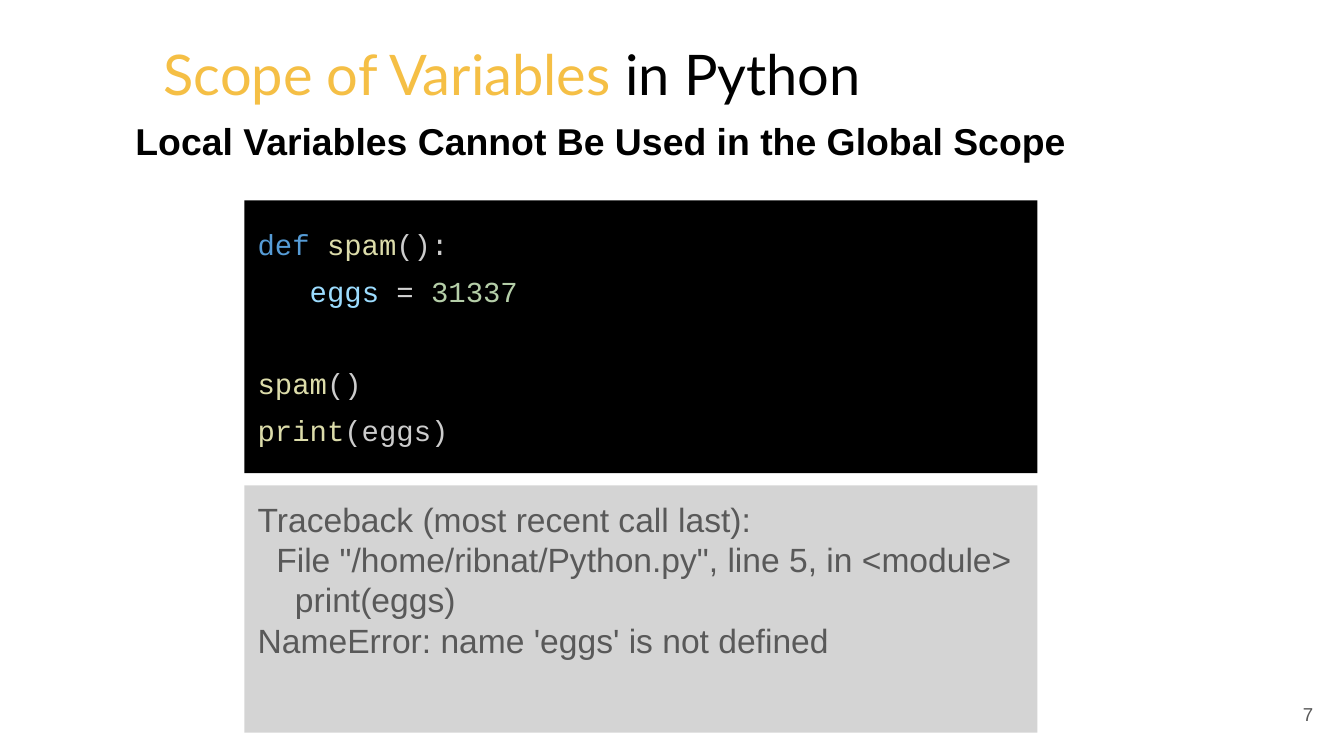
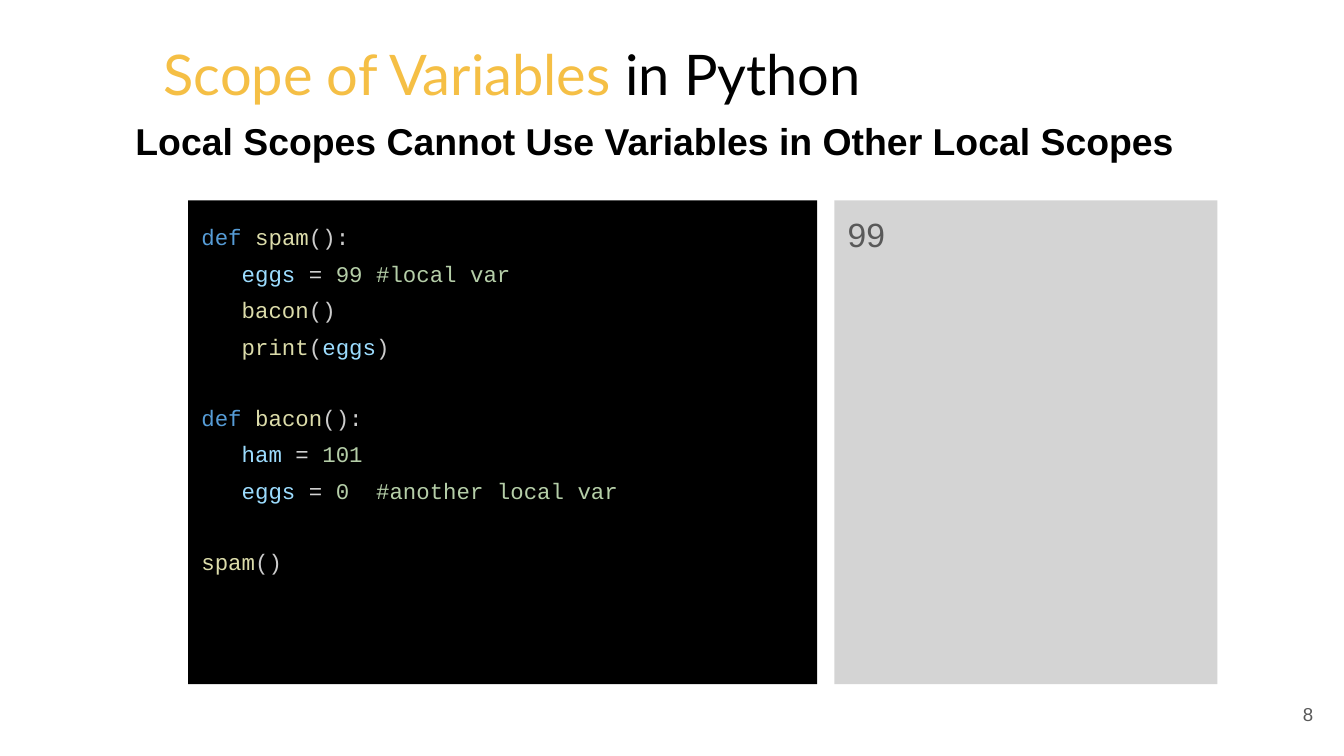
"""Build two slides on the scope of variables in Python."""
from pptx import Presentation
from pptx import util as u
from pptx.dml.color import RGBColor
from pptx.enum import shapes, text

COLORS = {
    "accent": "F5BF45", "ink": "000000", "panel": "D4D4D4", "output": "595959",
    "keyword": "569CD6", "function": "DCDCAA", "plain": "CCCCCC",
    "variable": "9CDCFE", "operator": "D4D4D4", "number": "B5CEA8",
}

TITLE = [[("accent", "Scope of Variables "), ("ink", "in Python")]]
TITLE_AREA = (80.6, 20.2, 600.5, 37.4)
SUBTITLE_AREA = (65.5, 56.2, 614.9, 46.8)
NUMBER_AREA = (667.4, 367.2, 43.2, 31)
CODE_LINE_SPACING = 1.36
COURIER_LINE_HEIGHT = 1.133

SLIDES = [
    {
        "number": 7,
        "subtitle": "Local Variables Cannot Be Used in the Global Scope",
        "code_area": (131, 107.4, 424.8, 146.1),
        "code_size": 15.5,
        "code": [
            [("keyword", "def "), ("function", "spam"), ("plain", "():")],
            [("variable", "   eggs "), ("operator", "= "), ("number", "31337")],
            [],
            [("function", "spam"), ("plain", "()")],
            [("function", "print"), ("plain", "(eggs)")],
        ],
        "output_area": (131, 260, 424.8, 132.5),
        "output": [
            "Traceback (most recent call last):",
            '  File "/home/ribnat/Python.py", line 5, in <module>',
            "    print(eggs)",
            "NameError: name 'eggs' is not defined",
        ],
    },
    {
        "number": 8,
        "subtitle": "Local Scopes Cannot Use Variables in Other Local Scopes",
        "code_area": (100.8, 107.4, 337, 259.2),
        "code_size": 12,
        "code": [
            [("keyword", "def "), ("function", "spam"), ("plain", "():")],
            [("variable", "   eggs "), ("operator", "= "), ("number", "99 #local var")],
            [("function", "   bacon"), ("plain", "()")],
            [("function", "   print"), ("plain", "("), ("variable", "eggs"), ("plain", ")")],
            [],
            [("keyword", "def "), ("function", "bacon"), ("plain", "():")],
            [("variable", "   ham "), ("operator", "= "), ("number", "101")],
            [("variable", "   eggs "), ("operator", "= "), ("number", "0  #another local var")],
            [],
            [("function", "spam"), ("plain", "()")],
        ],
        "output_area": (447, 107.4, 205.2, 259.2),
        "output": ["99"],
    },
]


def color(hex_value):
    """Turn a hex string into a colour."""
    return RGBColor.from_string(hex_value)


def apply(target, values):
    """Set each named attribute on the target."""
    for name, value in values.items():
        setattr(target, name, value)


def write(box, lines, font, anchor=text.MSO_ANCHOR.TOP, layout=None, gap=0):
    """Fill a box with coloured lines, turning each empty line into a gap."""
    frame = box.text_frame
    margins = {f"margin_{side}": u.Pt(7.2) for side in ("left", "top", "right", "bottom")}
    apply(frame, {"word_wrap": True, "vertical_anchor": anchor, **margins})
    for index, line in enumerate(lines):
        if not line:
            continue
        para = frame.add_paragraph() if index else frame.paragraphs[0]
        apply(para, {"alignment": text.PP_ALIGN.LEFT, **(layout or {})})
        if index and not lines[index - 1]:
            para.space_before = u.Pt(gap)
        for role, words in line:
            span = para.add_run()
            span.text = words
            apply(span.font, font)
            span.font.color.rgb = color(COLORS[role])


def add_text(page, area, lines, font, **options):
    """Add a text box."""
    write(page.shapes.add_textbox(*map(u.Pt, area)), lines, font, **options)


def add_panel(page, area, fill, lines, font, **options):
    """Add a filled rectangle holding text."""
    panel = page.shapes.add_shape(shapes.MSO_SHAPE.RECTANGLE, *map(u.Pt, area))
    panel.shadow.inherit = False
    panel.fill.solid()
    panel.fill.fore_color.rgb = color(COLORS[fill])
    panel.line.fill.background()
    write(panel, lines, font, **options)


def add_page(deck, content):
    """Add one slide with its heading, code, output and number."""
    page = deck.slides.add_slide(deck.slide_layouts[6])
    middle = text.MSO_ANCHOR.MIDDLE
    add_text(page, NUMBER_AREA, [[("output", str(content["number"]))]],
             {"name": "Arial", "size": u.Pt(10)}, anchor=middle,
             layout={"alignment": text.PP_ALIGN.RIGHT})
    add_text(page, TITLE_AREA, TITLE, {"name": "Lato", "size": u.Pt(30)}, anchor=middle)
    add_text(page, SUBTITLE_AREA, [[("ink", content["subtitle"])]],
             {"name": "Arial", "size": u.Pt(20), "bold": True})
    size = content["code_size"]
    add_panel(page, content["code_area"], "ink", content["code"],
              {"name": "Courier New", "size": u.Pt(size)},
              layout={"line_spacing": CODE_LINE_SPACING},
              gap=size * COURIER_LINE_HEIGHT * CODE_LINE_SPACING)
    add_panel(page, content["output_area"], "panel",
              [[("output", line)] for line in content["output"]],
              {"name": "Arial", "size": u.Pt(18)})


def main():
    """Build and save the deck."""
    deck = Presentation()
    apply(deck, {"slide_width": u.Pt(720), "slide_height": u.Pt(405)})
    for content in SLIDES:
        add_page(deck, content)
    deck.save("out.pptx")


if __name__ == "__main__":
    main()
